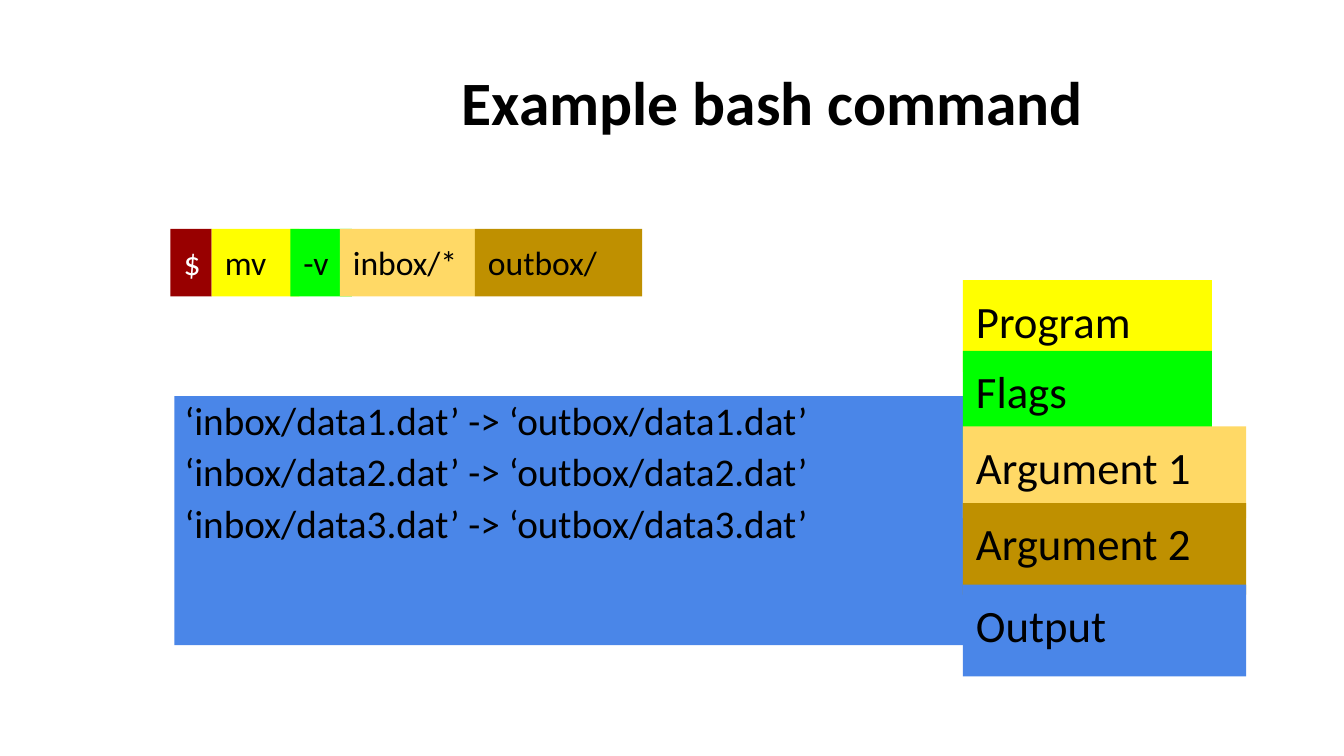
from lxml import etree
from pptx import Presentation
from pptx.dml.color import RGBColor
from pptx.enum import shapes, text
from pptx.oxml.ns import qn
from pptx.util import Inches, Pt

BLACK = RGBColor(0x00, 0x00, 0x00)
WHITE = RGBColor(0xFF, 0xFF, 0xFF)
PROMPT_RED = RGBColor(0x98, 0x00, 0x00)
PROGRAM_YELLOW = RGBColor(0xFF, 0xFF, 0x00)
FLAG_GREEN = RGBColor(0x00, 0xFF, 0x00)
ARGUMENT_SAND = RGBColor(0xFF, 0xD9, 0x66)
ARGUMENT_BROWN = RGBColor(0xBF, 0x90, 0x00)
OUTPUT_BLUE = RGBColor(0x4A, 0x86, 0xE8)


def add_run(paragraph, words, size, color=BLACK, bold=False):
    run = paragraph.add_run()
    run.text = words
    run.font.name = "Calibri"
    run.font.size = Pt(size)
    run.font.bold = bold
    run.font.color.rgb = color


def add_label(group, words, box, fill, size, color=BLACK, space_before=0):
    """Add a filled rectangle with left-aligned text; box is left, top, width, height."""
    shape = group.shapes.add_shape(
        shapes.MSO_SHAPE.RECTANGLE, *[Inches(length) for length in box])
    shape.shadow.inherit = False
    shape.fill.solid()
    shape.fill.fore_color.rgb = fill
    shape.line.fill.background()
    frame = shape.text_frame
    frame.word_wrap = True
    frame.auto_size = text.MSO_AUTO_SIZE.SHAPE_TO_FIT_TEXT
    frame.vertical_anchor = text.MSO_ANCHOR.TOP
    frame.margin_left = frame.margin_right = Inches(0.13)
    frame.margin_top = frame.margin_bottom = Inches(0.13)
    paragraph = frame.paragraphs[0]
    paragraph.alignment = text.PP_ALIGN.LEFT
    paragraph.space_before = Pt(space_before)
    add_run(paragraph, words, size, color)


presentation = Presentation()
presentation.slide_width = Inches(13.33)
presentation.slide_height = Inches(7.5)
slide = presentation.slides.add_slide(presentation.slide_layouts[1])
title, output = slide.placeholders

# Title and command output
for placeholder, box in (
    (title, (2.57, 0.67, 10.19, 1.25)),
    (output, (1.73, 3.93, 7.96, 2.47)),
):
    placeholder.left, placeholder.top, placeholder.width, placeholder.height = [
        Inches(length) for length in box]
    frame = placeholder.text_frame
    frame.word_wrap = True
    frame.auto_size = text.MSO_AUTO_SIZE.NONE
    frame.vertical_anchor = text.MSO_ANCHOR.TOP
    frame.margin_left = frame.margin_right = Inches(0.1)
    frame.margin_top = frame.margin_bottom = Inches(0.05)

heading = title.text_frame.paragraphs[0]
heading.alignment = text.PP_ALIGN.CENTER
heading.line_spacing = 0.9
add_run(heading, "Example bash command", 44, bold=True)

output.fill.solid()
output.fill.fore_color.rgb = OUTPUT_BLUE
for number in (1, 2, 3):
    frame = output.text_frame
    paragraph = frame.paragraphs[0] if number == 1 else frame.add_paragraph()
    paragraph.line_spacing = 0.9
    paragraph.space_before = Pt(6.7)
    properties = paragraph._p.get_or_add_pPr()
    properties.set("marL", "0")
    properties.set("indent", "0")
    etree.SubElement(properties, qn("a:buNone"))
    add_run(paragraph, f"‘inbox/data{number}.dat’ -> ‘outbox/data{number}.dat’", 28)

# Command, one coloured box per part
command = slide.shapes.add_group_shape()
for words, left, width, fill, color in (
    ("$", 1.69, 0.41, PROMPT_RED, WHITE),
    ("mv", 2.1, 0.87, PROGRAM_YELLOW, BLACK),
    ("-v", 2.88, 0.61, FLAG_GREEN, BLACK),
    ("inbox/*", 3.37, 1.34, ARGUMENT_SAND, BLACK),
    ("outbox/", 4.71, 1.66, ARGUMENT_BROWN, BLACK),
):
    add_label(command, words, (left, 2.27, width, 0.67), fill, 24, color)

# Legend, each box overlapping the one above
legend = slide.shapes.add_group_shape()
for words, top, width, fill in (
    ("Program", 2.78, 2.47, PROGRAM_YELLOW),
    ("Flags", 3.48, 2.47, FLAG_GREEN),
    ("Argument 1", 4.23, 2.81, ARGUMENT_SAND),
    ("Argument 2", 4.99, 2.81, ARGUMENT_BROWN),
    ("Output", 5.8, 2.81, OUTPUT_BLUE),
):
    add_label(legend, words, (9.55, top, width, 0.91), fill, 32, space_before=6.7)

presentation.save("out.pptx")
